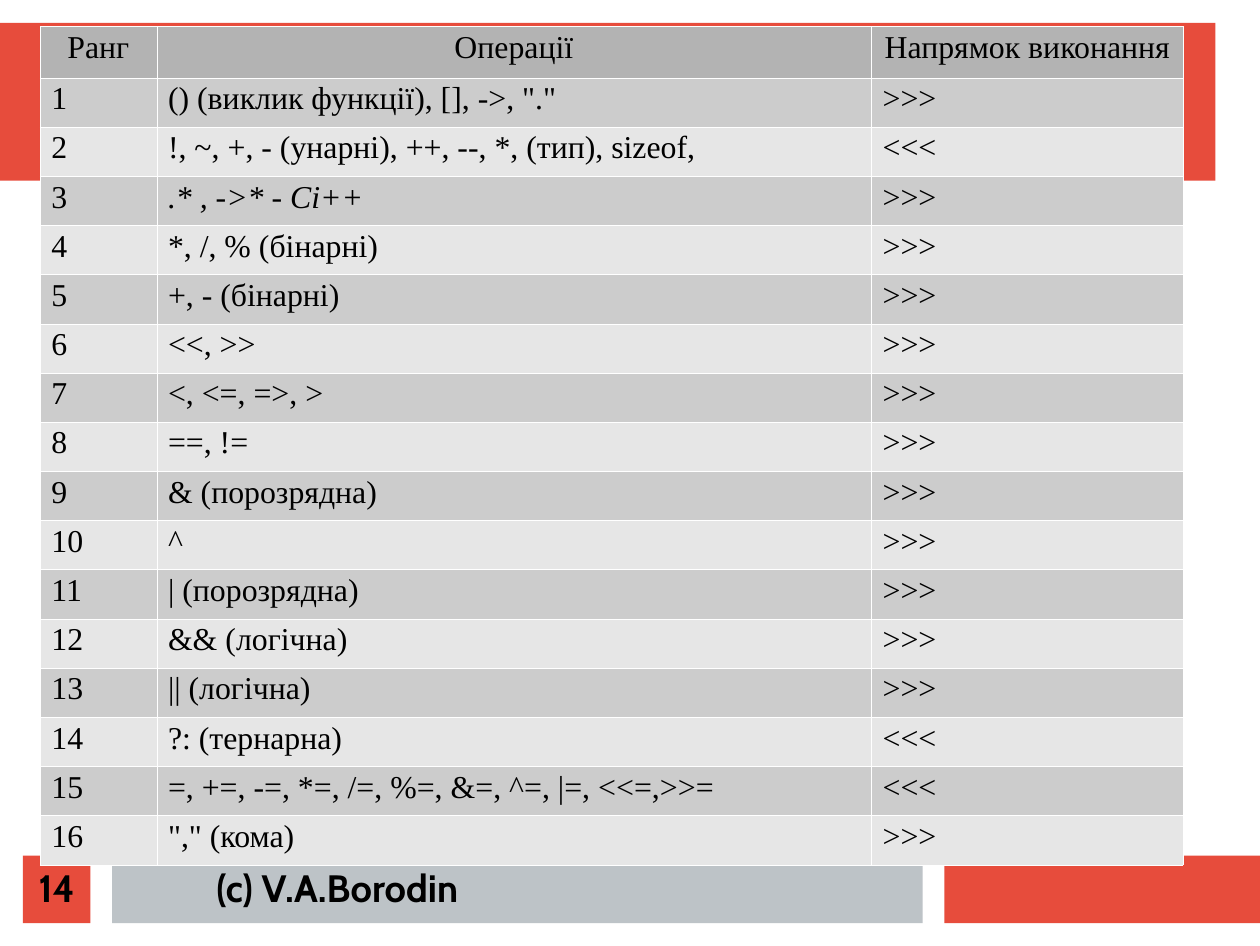
"""Build a slide with the table of operator precedence and direction."""
import dataclasses

import lxml.etree
import pptx
import pptx.dml.color
import pptx.enum.shapes
import pptx.enum.text
import pptx.oxml.ns
import pptx.util

ALIGN = pptx.enum.text.PP_ALIGN
MIDDLE = pptx.enum.text.MSO_ANCHOR.MIDDLE
RTL_RANKS = {2, 14, 15}
ITALIC_RANKS = {3}
HEADER = ("Ранг", "Операції", "Напрямок виконання")
OPERATIONS = (
    '() (виклик функції), [], ->, "."',
    "!, ~, +, - (унарні), ++, --, *, (тип), sizeof,",
    ".* , ->* - Сі++",
    "*, /, % (бінарні)",
    "+, - (бінарні)",
    "<<, >>",
    "<, <=, =>, >",
    "==, !=",
    "& (порозрядна)",
    "^",
    "| (порозрядна)",
    "&& (логічна)",
    "|| (логічна)",
    "?: (тернарна)",
    "=, +=, -=, *=, /=, %=, &=, ^=, |=, <<=,>>=",
    '"," (кома)',
)


@dataclasses.dataclass(frozen=True)
class Theme:
    """Colours, fonts and type sizes of the slide."""
    red: str = "E74C3C"
    grey: str = "BDC3C7"
    ink: str = "000000"
    border: str = "FFFFFF"
    header: str = "B3B3B3"
    bands: tuple = ("CCCCCC", "E6E6E6")
    footer_font: str = "Cabin"
    table_font: str = "Times New Roman"
    footer_size: int = 24
    table_size: int = 20
    border_width: float = 0.06


def px(n):
    """Turn px, a hundredth of an inch each, into EMU."""
    return pptx.util.Emu(n * 9144)


def rgb(value):
    """Turn a hex string into a colour."""
    return pptx.dml.color.RGBColor.from_string(value)


class Deck:
    """Holds the theme and the current slide and draws its elements."""

    def __init__(self, prs, theme):
        """Add a blank slide."""
        self.theme = theme
        self.s = prs.slides.add_slide(prs.slide_layouts[6])

    def add_text(self, tf, text, font, size, align, spacing, bold=False, italic=False):
        """Add one run to the first paragraph of a text frame."""
        p = tf.paragraphs[0]
        p.alignment = align
        p.line_spacing = spacing
        r = p.add_run()
        r.text = text
        r.font.name = font
        r.font.size = pptx.util.Pt(size)
        r.font.bold = bold
        r.font.italic = italic
        r.font.color.rgb = rgb(self.theme.ink)

    def block(self, x, y, w, h, color):
        """Draw a plain filled rectangle."""
        sp = self.s.shapes.add_shape(
            pptx.enum.shapes.MSO_SHAPE.RECTANGLE, px(x), px(y), px(w), px(h))
        sp.shadow.inherit = False
        sp.fill.solid()
        sp.fill.fore_color.rgb = rgb(color)
        sp.line.fill.background()
        return sp

    def label(self, x, y, w, h):
        """Add an empty text box."""
        return self.s.shapes.add_textbox(px(x), px(y), px(w), px(h))

    def footer_text(self, sp, text):
        """Centre bold footer text in a shape."""
        tf = sp.text_frame
        tf.word_wrap = True
        tf.vertical_anchor = MIDDLE
        tf.margin_left = tf.margin_right = tf.margin_top = tf.margin_bottom = 0
        t = self.theme
        self.add_text(tf, text, t.footer_font, t.footer_size, ALIGN.CENTER, 0.98,
                      bold=True)

    def borders(self, cell):
        """Give a cell a thin line on all four sides."""
        tc_pr = cell._tc.get_or_add_tcPr()
        qn = pptx.oxml.ns.qn
        width = str(int(pptx.util.Pt(self.theme.border_width)))
        for side in ("a:lnL", "a:lnR", "a:lnT", "a:lnB"):
            ln = lxml.etree.SubElement(tc_pr, qn(side), w=width)
            fill = lxml.etree.SubElement(ln, qn("a:solidFill"))
            lxml.etree.SubElement(fill, qn("a:srgbClr"), val=self.theme.border)

    def cell(self, cell, text, color, align, italic=False):
        """Fill and frame one table cell and add its text."""
        self.borders(cell)
        cell.fill.solid()
        cell.fill.fore_color.rgb = rgb(color)
        cell.margin_left = cell.margin_right = px(10)
        cell.margin_top = cell.margin_bottom = px(5)
        t = self.theme
        self.add_text(cell.text_frame, text, t.table_font, t.table_size, align, 0.93,
                      italic=italic)

    def table(self, x, y, widths, header_h, row_h):
        """Draw the precedence table."""
        n = len(OPERATIONS)
        table = self.s.shapes.add_table(
            n + 1, len(widths), px(x), px(y), px(sum(widths)),
            px(header_h + n * row_h)).table
        table.horz_banding = False
        for column, w in zip(table.columns, widths):
            column.width = px(w)
        for i, row in enumerate(table.rows):
            row.height = px(row_h if i else header_h)
        for j, text in enumerate(HEADER):
            self.cell(table.cell(0, j), text, self.theme.header, ALIGN.CENTER)
        for rank, operations in enumerate(OPERATIONS, 1):
            color = self.theme.bands[(rank - 1) % 2]
            direction = "<<<" if rank in RTL_RANKS else ">>>"
            for j, text in enumerate((str(rank), operations, direction)):
                self.cell(table.cell(rank, j), text, color, ALIGN.JUSTIFY,
                          italic=j == 1 and rank in ITALIC_RANKS)


def main():
    """Build and save the slide."""
    prs = pptx.Presentation()
    prs.slide_width, prs.slide_height = px(1102), px(827)
    theme = Theme()
    deck = Deck(prs, theme)
    deck.block(0, 20, 1063, 138, theme.red)
    deck.block(826, 748, 276, 59, theme.red)
    deck.block(98, 748, 709, 59, theme.grey)
    deck.footer_text(deck.label(118, 748, 354, 59), "(c) V.A.Borodin")
    deck.footer_text(deck.block(20, 748, 59, 59, theme.red), "14")
    deck.table(35, 23, (102, 625, 273), 45, 43)
    prs.save("out.pptx")


if __name__ == "__main__":
    main()
